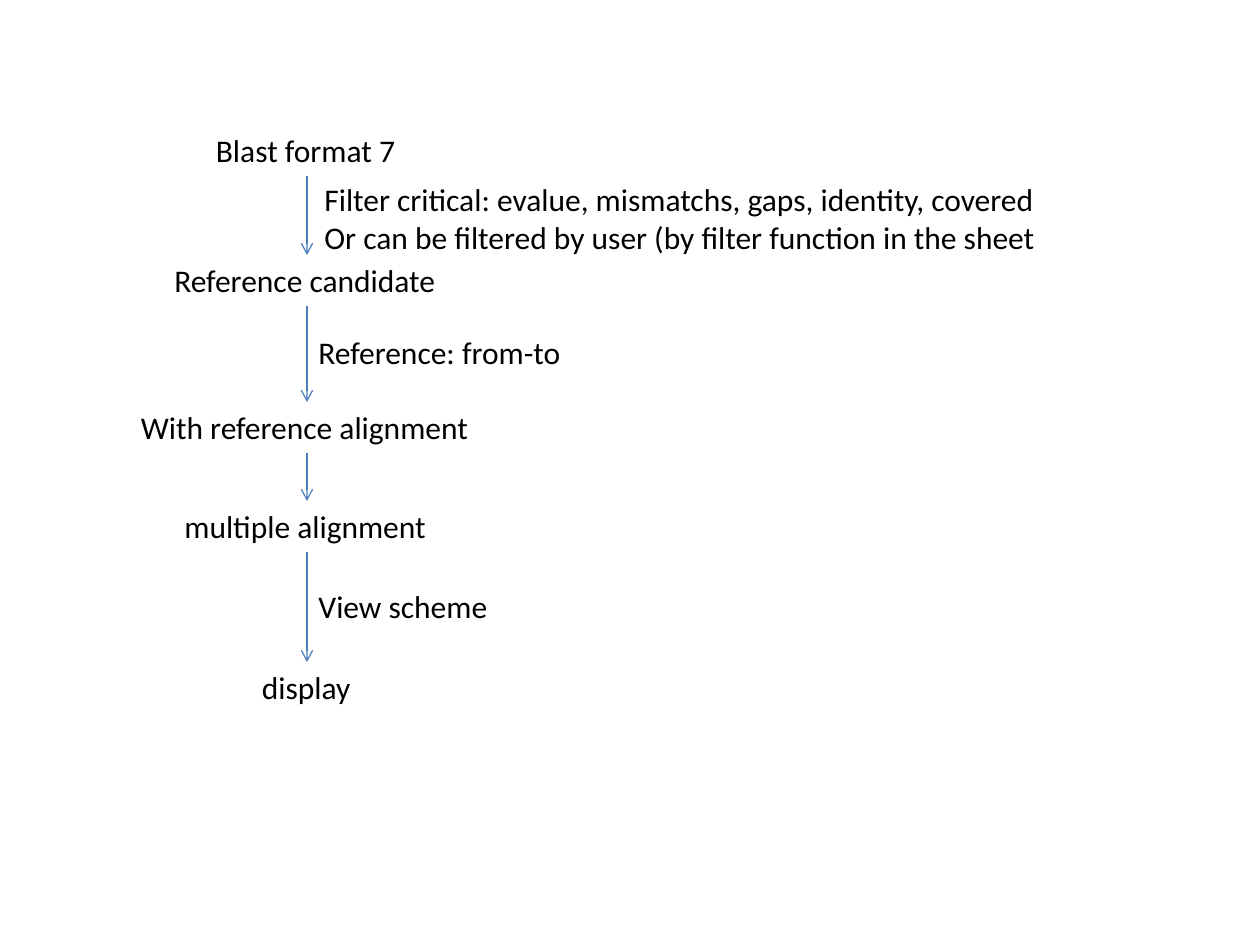
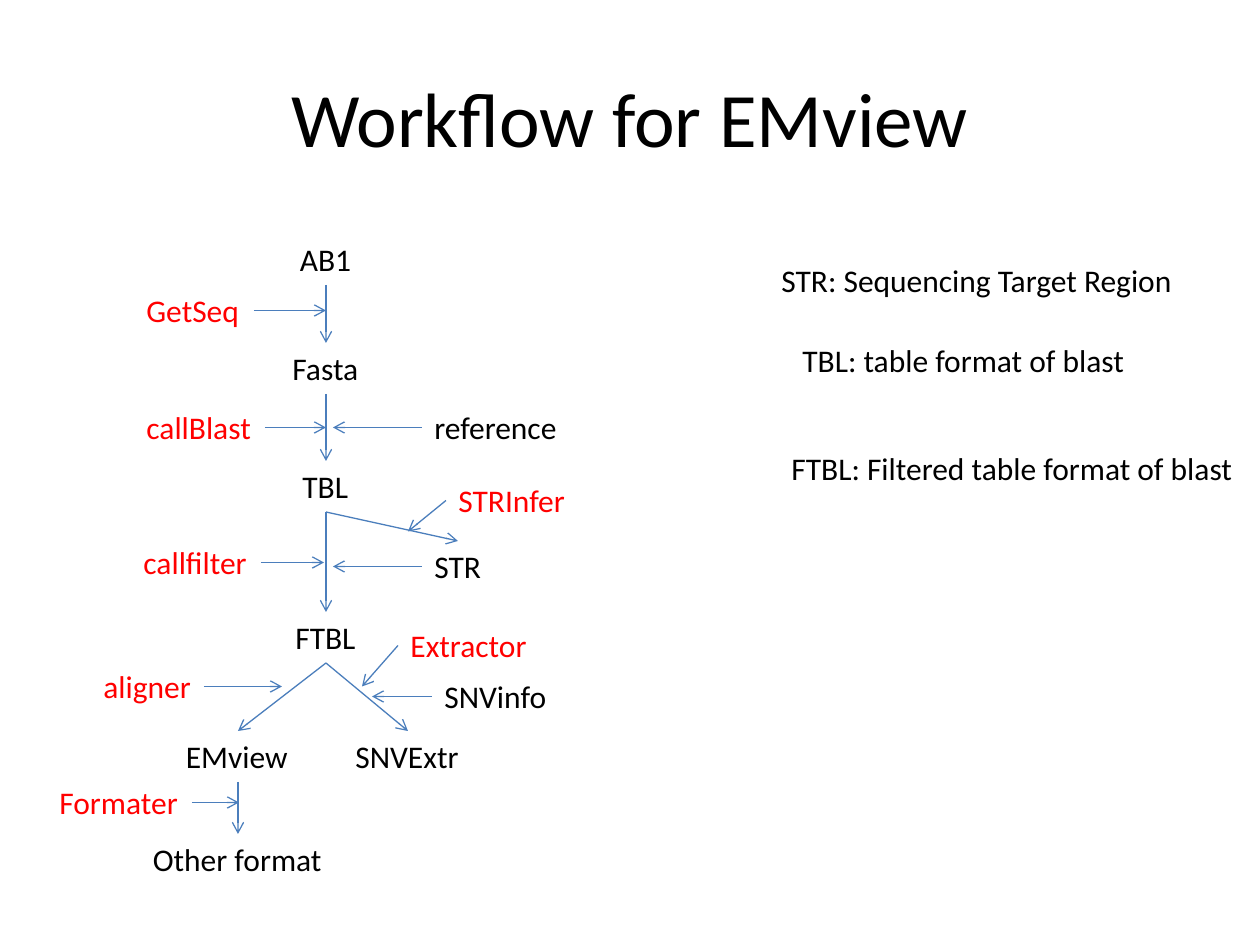
import pptx
import pptx.util
import pptx.dml.color
import pptx.enum.shapes
import pptx.enum.text
import pptx.oxml.ns
import lxml.etree

SCALE = 914400 / 126  # EMU in one pixel
BLACK = pptx.dml.color.RGBColor(0x00, 0x00, 0x00)
RED = pptx.dml.color.RGBColor(0xFF, 0x00, 0x00)
BLUE = pptx.dml.color.RGBColor(0x4B, 0x7E, 0xBC)
FONT = "Calibri"
LABEL_HEIGHT = 51
ALIGN = pptx.enum.text.PP_ALIGN
ANCHOR = pptx.enum.text.MSO_ANCHOR
FIT = pptx.enum.text.MSO_AUTO_SIZE


def emu(pixels):
    return pptx.util.Emu(round(pixels * SCALE))


def write(frame, text, size=18, color=BLACK, align=ALIGN.LEFT):
    """Fill a text frame, one paragraph for each line of text."""
    for number, line in enumerate(text.split("\n")):
        paragraph = frame.add_paragraph() if number else frame.paragraphs[0]
        paragraph.alignment = align
        run = paragraph.add_run()
        run.text = line
        run.font.name = FONT
        run.font.size = pptx.util.Pt(size)
        run.font.color.rgb = color


class Flowchart:
    def __init__(self):
        self.deck = pptx.Presentation()
        self.deck.slide_width = emu(1260)
        self.deck.slide_height = emu(945)
        self.slide = None

    def new_slide(self):
        self.slide = self.deck.slides.add_slide(self.deck.slide_layouts[6])

    def title(self, text):
        box = self.slide.shapes.add_textbox(emu(63), emu(38), emu(1134), emu(158))
        box.text_frame.word_wrap = True
        box.text_frame.vertical_anchor = ANCHOR.MIDDLE
        write(box.text_frame, text, size=44, align=ALIGN.CENTER)

    def label(self, text, left, top, width, height=LABEL_HEIGHT, color=BLACK):
        box = self.slide.shapes.add_textbox(emu(left), emu(top), emu(width), emu(height))
        box.text_frame.word_wrap = False
        box.text_frame.auto_size = FIT.SHAPE_TO_FIT_TEXT
        write(box.text_frame, text, color=color)

    def arrow(self, start, end):
        line = self.slide.shapes.add_connector(
            pptx.enum.shapes.MSO_CONNECTOR.STRAIGHT, *map(emu, start + end))
        line.line.color.rgb = BLUE
        line.line.width = pptx.util.Pt(0.75)
        qn = pptx.oxml.ns.qn
        properties = line._element.spPr
        head = lxml.etree.SubElement(properties.find(qn("a:ln")), qn("a:tailEnd"))
        head.set("type", "arrow")
        lxml.etree.SubElement(properties, qn("a:effectLst"))

    def chain(self, centre, steps):
        """Steps (text, top, width) centred on one line, joined by arrows."""
        for text, top, width in steps:
            self.label(text, centre - width / 2, top, width)
        for (_, top, _), (_, next_top, _) in zip(steps, steps[1:]):
            self.arrow((centre, top + LABEL_HEIGHT), (centre, next_top))

    def input_left(self, text, left, top, width, target_x):
        """A tool whose arrow runs level to the right."""
        self.label(text, left, top, width, color=RED)
        middle = top + LABEL_HEIGHT / 2
        self.arrow((left + width, middle), (target_x, middle))

    def input_right(self, text, left, top, width, target_x, drop=0, color=BLACK):
        """An input whose arrow runs to the left, falling by drop."""
        self.label(text, left, top, width, color=color)
        middle = top + LABEL_HEIGHT / 2
        self.arrow((left, middle), (target_x, middle + drop))


chart = Flowchart()

# Slide 1: from blast output to display
chart.new_slide()
chart.chain(307, [
    ("Blast format 7", 125, 207),
    ("Reference candidate", 255, 290),
    ("With reference alignment", 402, 357),
    ("multiple alignment", 501, 270),
    ("display", 662, 115),
])
chart.label("Filter critical: evalue, mismatchs, gaps, identity, covered\n"
            "Or can be filtered by user (by filter function in the sheet",
            312, 174, 743, height=89)
chart.label("Reference: from-to", 306, 327, 271)
chart.label("View scheme", 306, 581, 197)

# Slide 2: workflow
chart.new_slide()
chart.title("Workflow for EMview")

# Abbreviations
for meaning, left, top, width in [
    ("STR: Sequencing Target Region", 769, 255, 421),
    ("TBL: table format of blast", 790, 335, 351),
    ("FTBL: Filtered table format of blast", 779, 443, 472),
]:
    chart.label(meaning, left, top, width)

# File formats, with the branches below TBL and FTBL
MAIN, VIEW, EXTRACT = 326, 238, 408
chart.chain(MAIN, [("AB1", 234, 77), ("Fasta", 343, 92),
                   ("TBL", 461, 72), ("FTBL", 612, 86)])
chart.chain(VIEW, [("EMview", 731, 129), ("Other format", 834, 195)])
chart.chain(EXTRACT, [("SNVExtr", 731, 130)])
chart.arrow((MAIN, 512), (458, 541))
for branch in (VIEW, EXTRACT):
    chart.arrow((MAIN, 663), (branch, 731))

# Tools on the left
for tool in [
    ("GetSeq", 134, 285, 120, MAIN),
    ("callBlast", 134, 402, 131, MAIN),
    ("callfilter", 131, 537, 130, 324),
    ("aligner", 91, 661, 113, 282),
    ("Formater", 47, 777, 145, 239),
]:
    chart.input_left(*tool)

# Data and tools on the right
chart.input_right("reference", 422, 402, 149, 333)
chart.input_right("STR", 422, 541, 73, 333)
chart.input_right("SNVinfo", 432, 671, 129, 372)
chart.input_right("STRInfer", 446, 475, 132, 408, drop=31, color=RED)
chart.input_right("Extractor", 398, 620, 142, 362, drop=41, color=RED)

chart.deck.save("out.pptx")
